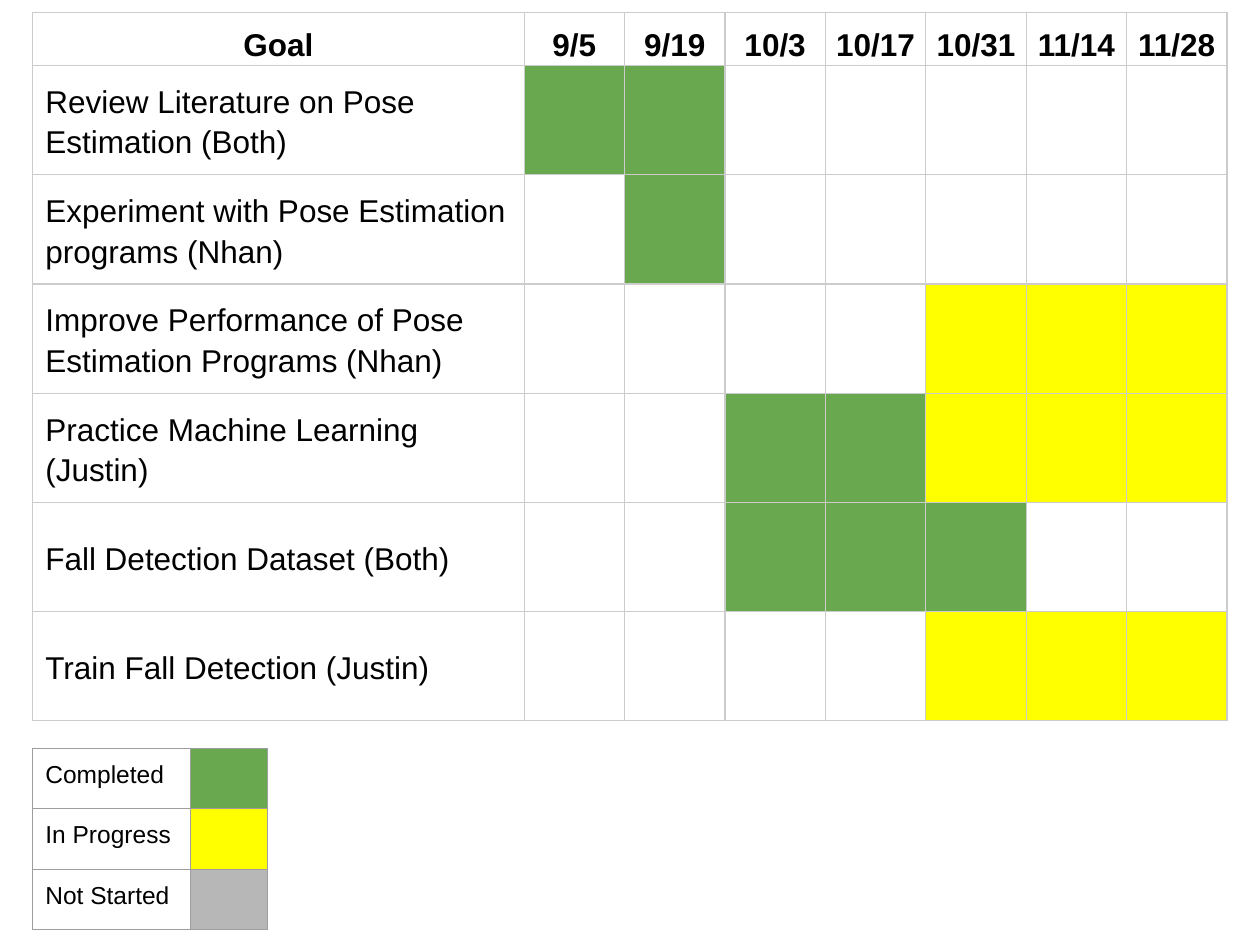
from lxml.etree import SubElement
from pptx import Presentation
from pptx.dml.color import RGBColor
from pptx.enum.text import MSO_ANCHOR as Anchor, PP_ALIGN as Align
from pptx.oxml.ns import qn
from pptx.util import Inches, Pt

COLORS = {
    "text": "000000",
    "blank": "FFFFFF",
    "completed": "6AA84F",
    "in_progress": "FFFF00",
    "not_started": "B7B7B7",
    "schedule_border": "CCCCCC",
    "legend_border": "9E9E9E",
}
DATES = ["9/5", "9/19", "10/3", "10/17", "10/31", "11/14", "11/28"]
STATUS = {"C": "completed", "P": "in_progress", ".": "blank"}
GOALS = [
    ("Review Literature on Pose Estimation (Both)", "CC....."),
    ("Experiment with Pose Estimation programs (Nhan)", ".C....."),
    ("Improve Performance of Pose Estimation Programs (Nhan)", "....PPP"),
    ("Practice Machine Learning (Justin)", "..CCPPP"),
    ("Fall Detection Dataset (Both)", "..CCC.."),
    ("Train Fall Detection (Justin)", "....PPP"),
]
LEGEND = [
    ("Completed", "completed"),
    ("In Progress", "in_progress"),
    ("Not Started", "not_started"),
]


def add_grid(slide, left, top, widths, heights):
    frame = slide.shapes.add_table(
        len(heights), len(widths), Inches(left), Inches(top),
        Inches(sum(widths)), Inches(sum(heights)))
    grid = frame.table
    grid.first_row = grid.horz_banding = False
    for column, width in zip(grid.columns, widths):
        column.width = Inches(width)
    for row, height in zip(grid.rows, heights):
        row.height = Inches(height)
    return grid


def paint(cell, fill, border):
    properties = cell._tc.get_or_add_tcPr()
    for side in ("lnL", "lnR", "lnT", "lnB"):
        line = SubElement(properties, qn(f"a:{side}"), w=str(Pt(0.75)))
        solid = SubElement(line, qn("a:solidFill"))
        SubElement(solid, qn("a:srgbClr"), val=COLORS[border])
    cell.fill.solid()
    cell.fill.fore_color.rgb = RGBColor.from_string(COLORS[fill])


def write(cell, text, size, margins, anchor, align=Align.LEFT, bold=False, spacing=1.0):
    side, end = map(Inches, margins)
    cell.margin_left = cell.margin_right = side
    cell.margin_top = cell.margin_bottom = end
    cell.vertical_anchor = anchor
    paragraph = cell.text_frame.paragraphs[0]
    paragraph.text = text
    paragraph.alignment = align
    paragraph.line_spacing = spacing
    font = paragraph.runs[0].font
    font.name = "Arial"
    font.size = Pt(size)
    font.bold = bold
    font.color.rgb = RGBColor.from_string(COLORS["text"])


def add_schedule(slide, left, top):
    schedule = add_grid(slide, left, top, [3.9] + [0.797] * len(DATES),
                        [0.42] + [0.867] * len(GOALS))
    for column, heading in enumerate(["Goal"] + DATES):
        cell = schedule.cell(0, column)
        paint(cell, "blank", "schedule_border")
        write(cell, heading, 18, (0.03, 0.02), Anchor.BOTTOM, Align.CENTER, True,
              1.15 if column else 1.0)
    for row, (goal, statuses) in enumerate(GOALS, 1):
        goal_cell = schedule.cell(row, 0)
        paint(goal_cell, "blank", "schedule_border")
        write(goal_cell, goal, 18, (0.1, 0.02), Anchor.MIDDLE, spacing=1.15)
        for column, status in enumerate(statuses, 1):
            paint(schedule.cell(row, column), STATUS[status], "schedule_border")


def add_legend(slide, left, top):
    legend = add_grid(slide, left, top, [1.25, 0.61], [0.48] * len(LEGEND))
    for row, (label, status) in enumerate(LEGEND):
        label_cell = legend.cell(row, 0)
        paint(label_cell, "blank", "legend_border")
        write(label_cell, label, 14, (0.1, 0.1), Anchor.TOP)
        paint(legend.cell(row, 1), status, "legend_border")


deck = Presentation()
deck.slide_width, deck.slide_height = Inches(10), Inches(7.5)
timeline = deck.slides.add_slide(deck.slide_layouts[6])
add_schedule(timeline, 0.26, 0.1)
add_legend(timeline, 0.26, 5.94)
deck.save("out.pptx")
